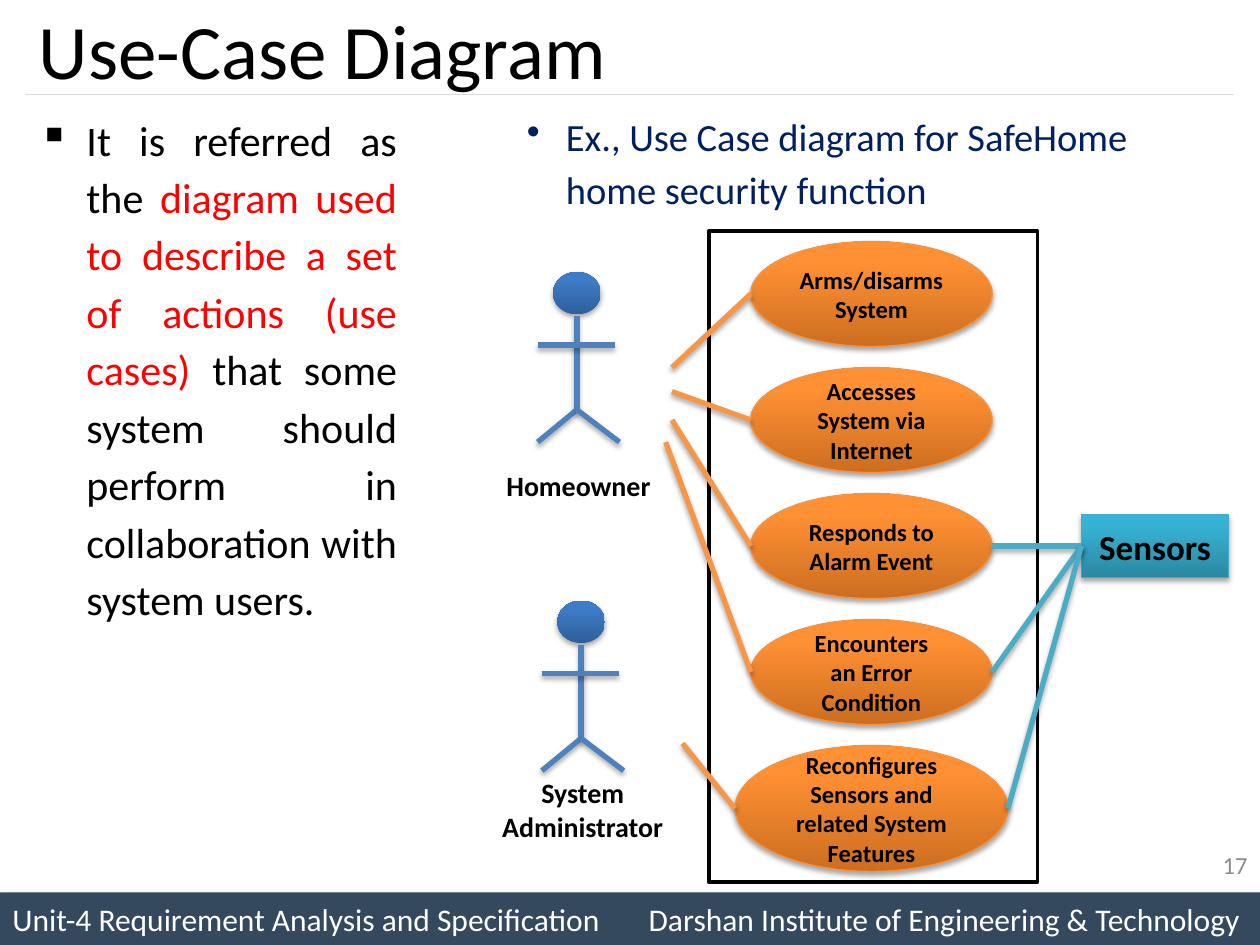
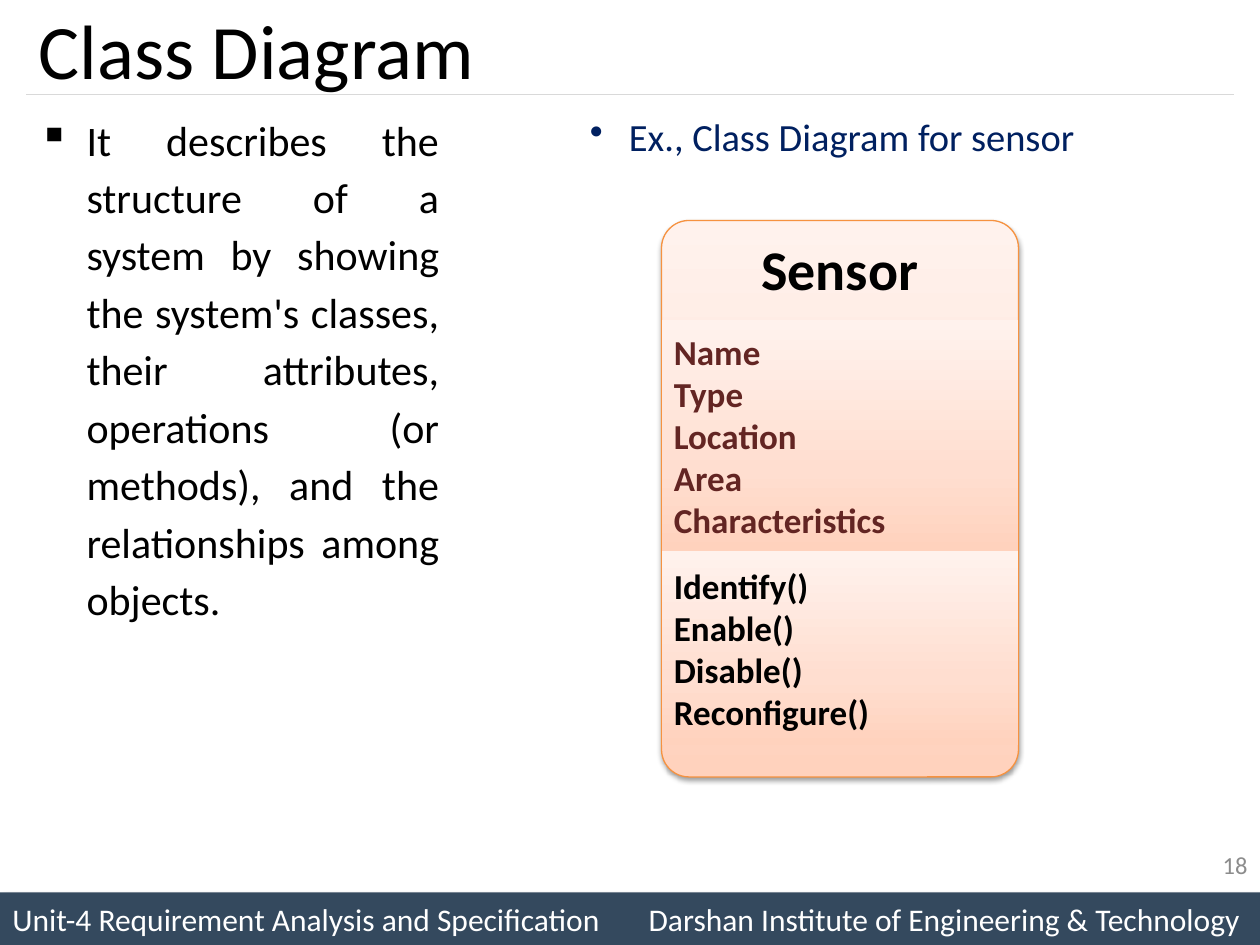
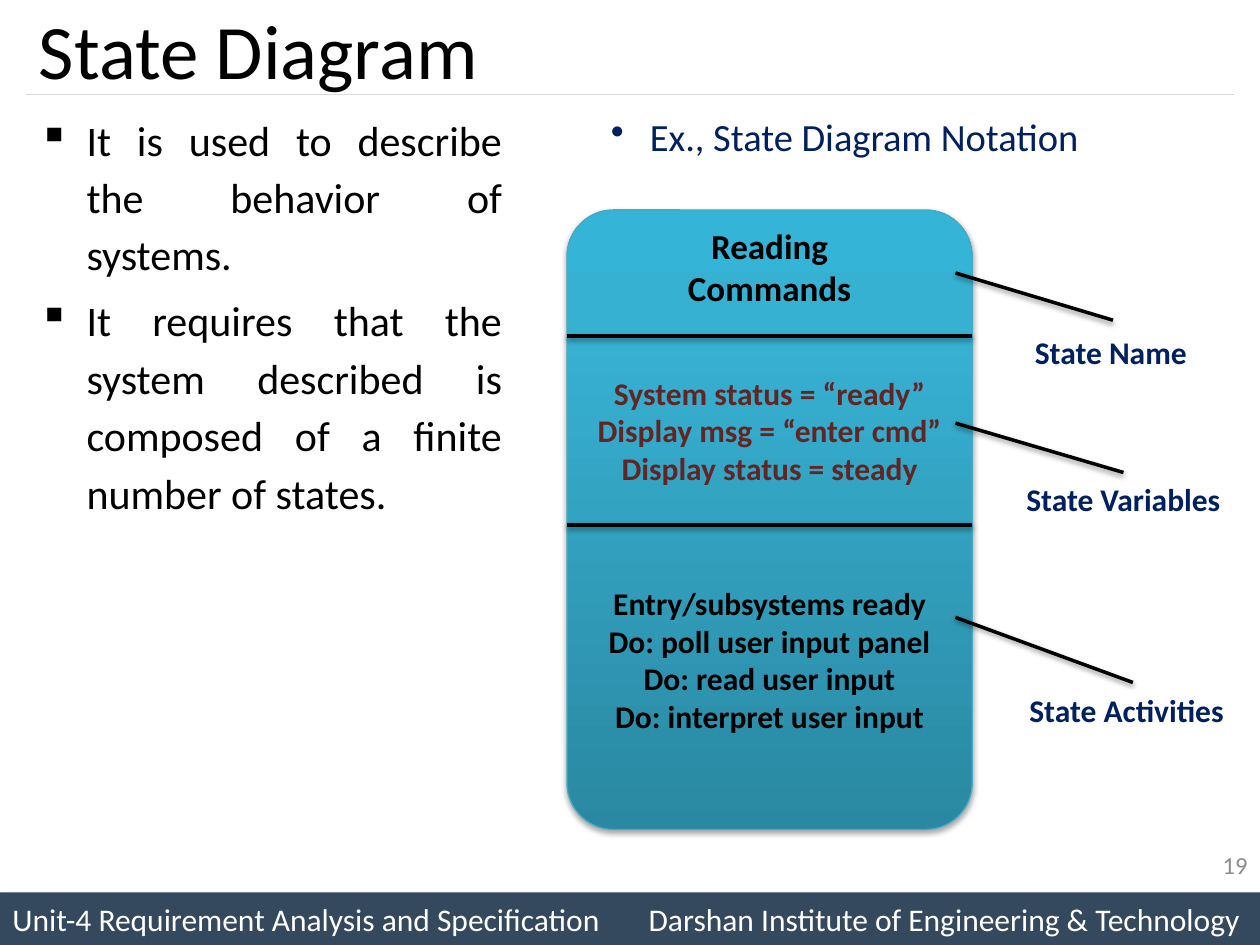
import dataclasses

import lxml.etree
import pptx
import pptx.dml.color
import pptx.enum.dml
import pptx.enum.shapes
import pptx.enum.text
import pptx.oxml.ns
import pptx.util

COLUMNS, ROWS = 120, 90
CELL = pptx.util.Inches(10) // COLUMNS
SHAPE = pptx.enum.shapes.MSO_SHAPE
ALIGN = pptx.enum.text.PP_ALIGN
ANCHOR = pptx.enum.text.MSO_ANCHOR


@dataclasses.dataclass(frozen=True)
class Theme:
    """Colours, gradients, shadows and type sizes of the deck."""
    font: str = "Calibri"
    ink: str = "000000"
    paper: str = "FFFFFF"
    navy: str = "002060"
    red: str = "FF0000"
    maroon: str = "632523"
    band: str = "34495E"
    rule: str = "D9D9D9"
    grey: str = "8C8C8C"
    blue: str = "4F81BD"
    orange: str = "F79646"
    orange_edge: str = "F69240"
    aqua: str = "4BACC6"
    aqua_edge: str = "46AAC5"
    blue_fade: tuple = ((0, "2F5F99"), (80, "3D7CC7"), (100, "3A7CCB"))
    orange_fade: tuple = ((0, "CC6E20"), (80, "FF9034"), (100, "FF9136"))
    aqua_fade: tuple = ((0, "2A88A2"), (80, "37B1D2"), (100, "34B4D6"))
    peach_fade: tuple = ((0, "FFD2BD"), (35, "FFDED0"), (100, "FFF2ED"))
    strong_shadow: tuple = (35, 3.1, 1.8, 90)
    soft_shadow: tuple = (38, 3.1, 1.6, 90)
    band_shadow: tuple = (40, 4, 3, 45)
    title: int = 44
    name: int = 32
    body: int = 24
    example: int = 22
    member: int = 20
    caption: int = 18
    actor: int = 16
    small: int = 14


THEME = Theme()


@dataclasses.dataclass(frozen=True)
class Box:
    """A rectangle measured in grid columns and rows."""
    left: float
    top: float
    width: float
    height: float

    def area(self, left, top, width, height):
        """Return a box offset from this one's corner."""
        return Box(self.left + left, self.top + top, width, height)

    def point(self, across, down):
        """Return a point offset from this box's corner."""
        return self.left + across, self.top + down

    def share(self, across, down):
        """Return a point at shares of this box's width and height."""
        return self.point(across * self.width, down * self.height)

    def emu(self):
        """Return the four lengths in slide units."""
        return [cells(n) for n in (self.left, self.top, self.width, self.height)]


def cells(count):
    """Convert grid cells to slide units."""
    return pptx.util.Emu(round(count * CELL))


def rgb(colour):
    """Convert a hex string to a colour."""
    return pptx.dml.color.RGBColor.from_string(colour)


def assign(target, values):
    """Set each named attribute on the target."""
    for key, value in values.items():
        setattr(target, key, value)


def child(parent, tag, **attributes):
    """Append a drawing element to the parent."""
    return lxml.etree.SubElement(parent, pptx.oxml.ns.qn("a:" + tag),
                                 {key: str(value) for key, value in attributes.items()})


def cast_shadow(item, shadow):
    """Give a shape or connector an outer shadow, or none."""
    effects = child(item._element.spPr, "effectLst")
    if shadow:
        alpha, blur, distance, angle = shadow
        outer = child(effects, "outerShdw", blurRad=pptx.util.Pt(blur), dist=pptx.util.Pt(distance),
                      dir=angle * 60000, rotWithShape=0)
        child(child(outer, "srgbClr", val=THEME.ink), "alpha", val=alpha * 1000)


def fade(shape, stops):
    """Fill a shape with a gradient that rises from its bottom."""
    shape.fill.gradient()
    shape.fill.gradient_angle = 90
    stop_list = shape._element.spPr.find(".//" + pptx.oxml.ns.qn("a:gsLst"))
    for stop in list(stop_list):
        stop_list.remove(stop)
    for position, colour in stops:
        child(child(stop_list, "gs", pos=position * 1000), "srgbClr", val=colour)


def draw_shape(shapes, kind, box, fill=None, edge=None, weight=0.75, shadow=None):
    """Draw a preset shape with a plain, graded or absent fill."""
    shape = shapes.add_shape(kind, *box.emu())
    if isinstance(fill, tuple):
        fade(shape, fill)
    elif fill:
        shape.fill.solid()
        shape.fill.fore_color.rgb = rgb(fill)
    else:
        shape.fill.background()
    if edge:
        shape.line.color.rgb = rgb(edge)
        shape.line.width = pptx.util.Pt(weight)
    else:
        shape.line.fill.background()
    cast_shadow(shape, shadow)
    return shape


def draw_line(shapes, start, end, colour, weight, shadow=None):
    """Draw a straight connector between two grid points."""
    line = shapes.add_connector(pptx.enum.shapes.MSO_CONNECTOR.STRAIGHT,
                                *[cells(n) for n in (*start, *end)])
    line.line.color.rgb = rgb(colour)
    line.line.width = pptx.util.Pt(weight)
    cast_shadow(line, shadow)
    return line


def write(frame, lines, size, colour=THEME.ink, bold=False, align=ALIGN.CENTER,
          anchor=ANCHOR.MIDDLE, bullet=None, tab=None):
    """Write paragraphs, each a string or a list of text and colour pairs."""
    assign(frame, {"word_wrap": True, "vertical_anchor": anchor,
                   "auto_size": pptx.enum.text.MSO_AUTO_SIZE.NONE})
    for number, line in enumerate(lines):
        paragraph = frame.add_paragraph() if number else frame.paragraphs[0]
        paragraph.alignment = align
        properties = paragraph._p.get_or_add_pPr()
        if bullet:
            mark, margin, hang = bullet
            properties.set("marL", str(pptx.util.Inches(margin)))
            properties.set("indent", str(-pptx.util.Inches(hang)))
            child(properties, "buChar", char=mark)
            paragraph.line_spacing = 1.14
            if number:
                paragraph.space_before = pptx.util.Pt(size * 0.2)
        if tab:
            child(child(properties, "tabLst"), "tab", pos=cells(tab), algn="l")
        for text, tint in [(line, colour)] if isinstance(line, str) else line:
            run = paragraph.add_run()
            run.text = text
            assign(run.font, {"name": THEME.font, "size": pptx.util.Pt(size), "bold": bold})
            run.font.color.rgb = rgb(tint)


def add_text(slide, box, lines, size, **options):
    """Place a text box."""
    write(slide.shapes.add_textbox(*box.emu()).text_frame, lines, size, **options)


def start_slide(deck, title, number, split, points, example_left, example):
    """Add a slide with its band, title, points, example heading and number."""
    slide = deck.slides.add_slide(deck.slide_layouts[5])
    band = draw_shape(slide.shapes, SHAPE.RECTANGLE, Box(0, 85, COLUMNS, 5), THEME.band,
                      shadow=THEME.band_shadow)
    write(band.text_frame, ["Unit-4 Requirement Analysis and Specification\t"
                            "Darshan Institute of Engineering & Technology"],
          THEME.caption, colour=THEME.paper, align=ALIGN.LEFT, tab=60.6)
    draw_line(slide.shapes, (2.5, 9), (117.5, 9), THEME.rule, 0.75)
    heading = slide.shapes.title
    assign(heading, dict(zip(("left", "top", "width", "height"), Box(2.5, -0.6, 115, 10.5).emu())))
    write(heading.text_frame, [title], THEME.title, align=ALIGN.LEFT)
    add_text(slide, Box(2.5, 9.6, split - 2.5, 74), points, THEME.body, align=ALIGN.JUSTIFY,
             anchor=ANCHOR.TOP, bullet=("▪", 0.38, 0.38))
    add_text(slide, Box(example_left, 9.6, 117.5 - example_left, 74), [example], THEME.example,
             colour=THEME.navy, align=ALIGN.LEFT, anchor=ANCHOR.TOP, bullet=("•", 0.81, 0.31))
    add_text(slide, Box(92, 80, 28, 4.8), [str(number)], THEME.small, colour=THEME.grey,
             align=ALIGN.RIGHT)
    return slide


def draw_actor(slide, box, label_box, label):
    """Draw a stick figure filling the box, with its label."""
    figure = slide.shapes.add_group_shape().shapes
    head = Box(*box.share(0.19, 0), box.width * 0.58, box.height * 0.25)
    draw_shape(figure, SHAPE.OVAL, head, THEME.blue_fade, shadow=THEME.strong_shadow)
    hip = (0.48, 0.81)
    limbs = [((0.48, 0.26), hip), (hip, (0, 1)), (hip, (1, 1)), ((0, 0.43), (0.94, 0.43))]
    for start, end in limbs:
        draw_line(figure, box.share(*start), box.share(*end), THEME.blue, 3, THEME.strong_shadow)
    add_text(slide, label_box, [label], THEME.actor, bold=True, anchor=ANCHOR.TOP)


def draw_use_cases(slide, box):
    """Draw the actors, the system's use cases and the sensors."""
    draw_shape(slide.shapes, SHAPE.RECTANGLE, box.area(22.5, 0, 31.3, 62), edge=THEME.ink, weight=2)
    cases = [
        (["Arms/disarms System"], (19, 13)),
        (["Accesses System via Internet"], (19, 15.3)),
        (["Responds to", "Alarm Event"], (19, 18)),
        (["Encounters", "an Error", "Condition"], (18.4, 20.1)),
        (["Reconfigures Sensors and related System Features"], (20, 48.8)),
    ]
    ovals = [box.area(26.5, 1 + 12 * row, 23, 10) for row in range(4)] + [box.area(25, 49, 26, 12)]
    for (lines, _), oval in zip(cases, ovals):
        case = draw_shape(slide.shapes, SHAPE.OVAL, oval, THEME.orange_fade, THEME.orange_edge,
                          shadow=THEME.strong_shadow)
        write(case.text_frame, lines, THEME.small, bold=True)
    draw_actor(slide, box.area(6.2, 3.9, 7.8, 16.2), box.area(1.6, 22, 17, 4.4), "Homeowner")
    draw_actor(slide, box.area(6.6, 35.2, 7.8, 16.2), box.area(1, 51.3, 19, 7.7),
               "System Administrator")
    sensors_box = box.area(58, 27, 14, 6)
    sensors = draw_shape(slide.shapes, SHAPE.RECTANGLE, sensors_box, THEME.aqua_fade,
                         THEME.aqua_edge, shadow=THEME.strong_shadow)
    write(sensors.text_frame, ["Sensors"], THEME.member, bold=True)
    for oval in ovals[2:]:
        link = draw_line(slide.shapes, sensors_box.share(0, 0.5), oval.share(1, 0.5), THEME.aqua, 3,
                         THEME.strong_shadow)
        link.begin_connect(sensors, 1)
    for (_, actor_side), oval in zip(cases, ovals):
        draw_line(slide.shapes, oval.share(0, 0.5), box.point(*actor_side), THEME.orange, 3,
                  THEME.strong_shadow)


def draw_class(slide, box):
    """Draw the class card with its attributes and operations."""
    card = draw_shape(slide.shapes, SHAPE.ROUNDED_RECTANGLE, box, THEME.peach_fade,
                      THEME.orange_edge, shadow=THEME.soft_shadow)
    card.adjustments[0] = 0.077
    write(card.text_frame, ["Sensor"], THEME.name, bold=True, anchor=ANCHOR.TOP)
    sections = [
        (9.5, 22, THEME.maroon, ["Name", "Type", "Location", "Area", "Characteristics"]),
        (31.5, 18.5, THEME.ink, ["Identify()", "Enable()", "Disable()", "Reconfigure()"]),
    ]
    for top, height, colour, members in sections:
        section = draw_shape(slide.shapes, SHAPE.RECTANGLE, box.area(0, top, box.width, height),
                             THEME.peach_fade)
        write(section.text_frame, members, THEME.member, colour=colour, bold=True, align=ALIGN.LEFT)


def draw_state(slide, box):
    """Draw the state card, its three sections and their callouts."""
    card = draw_shape(slide.shapes, SHAPE.ROUNDED_RECTANGLE, box, THEME.aqua_fade, THEME.aqua_edge,
                      shadow=THEME.strong_shadow)
    card.adjustments[0] = 0.115
    for row in (12, 30):
        draw_line(slide.shapes, box.point(0, row), box.point(box.width, row), THEME.ink, 2,
                  THEME.soft_shadow)
    sections = [
        (0.8, 9.2, THEME.member, THEME.ink, ["Reading", "Commands"]),
        (15, 12.1, THEME.caption, THEME.maroon,
         ["System status = “ready”", "Display msg = “enter cmd”", "Display status = steady"]),
        (35, 15.7, THEME.caption, THEME.ink,
         ["Entry/subsystems ready", "Do: poll user input panel", "Do: read user input",
          "Do: interpret user input"]),
    ]
    for top, height, size, colour, lines in sections:
        add_text(slide, box.area(0, top, box.width, height), lines, size, colour=colour, bold=True,
                 anchor=ANCHOR.TOP)
    callouts = [
        ("State Name", 51.8, 11.1, (52, 10.5), 6),
        ("State Variables", 53, 25.1, (53, 25), 20.3),
        ("State Activities", 53.3, 45.2, (53.9, 45), 38.8),
    ]
    for label, centre, top, start, end_row in callouts:
        add_text(slide, box.area(centre - 12, top, 24, 4.8), [label], THEME.caption,
                 colour=THEME.navy, bold=True, anchor=ANCHOR.TOP)
        draw_line(slide.shapes, box.point(*start), box.point(37, end_row), THEME.ink, 2,
                  THEME.soft_shadow)


def main():
    """Build the three diagram slides and save them."""
    deck = pptx.Presentation()
    assign(deck, {"slide_width": cells(COLUMNS), "slide_height": cells(ROWS)})
    definition = [
        ("It is referred as the ", THEME.ink),
        ("diagram used to describe a set of actions (use cases)", THEME.red),
        (" that some system should perform in collaboration with system users.", THEME.ink),
    ]
    use_case = start_slide(deck, "Use-Case Diagram", 17, 39, [definition], 43,
                           "Ex., Use Case diagram for SafeHome home security function")
    draw_use_cases(use_case, Box(45, 22, 72, 62))
    class_slide = start_slide(
        deck, "Class Diagram", 18, 43,
        ["It describes the structure of a system by showing the system's classes, their "
         "attributes, operations (or methods), and the relationships among objects."],
        49, "Ex., Class Diagram for sensor")
    draw_class(class_slide, Box(63, 21, 34, 53))
    state = start_slide(
        deck, "State Diagram", 19, 49,
        ["It is used to describe the behavior of systems.",
         "It requires that the system described is composed of a finite number of states."],
        51, "Ex., State Diagram Notation")
    draw_state(state, Box(54, 20, 38.6, 59))
    deck.save("out.pptx")


if __name__ == "__main__":
    main()
